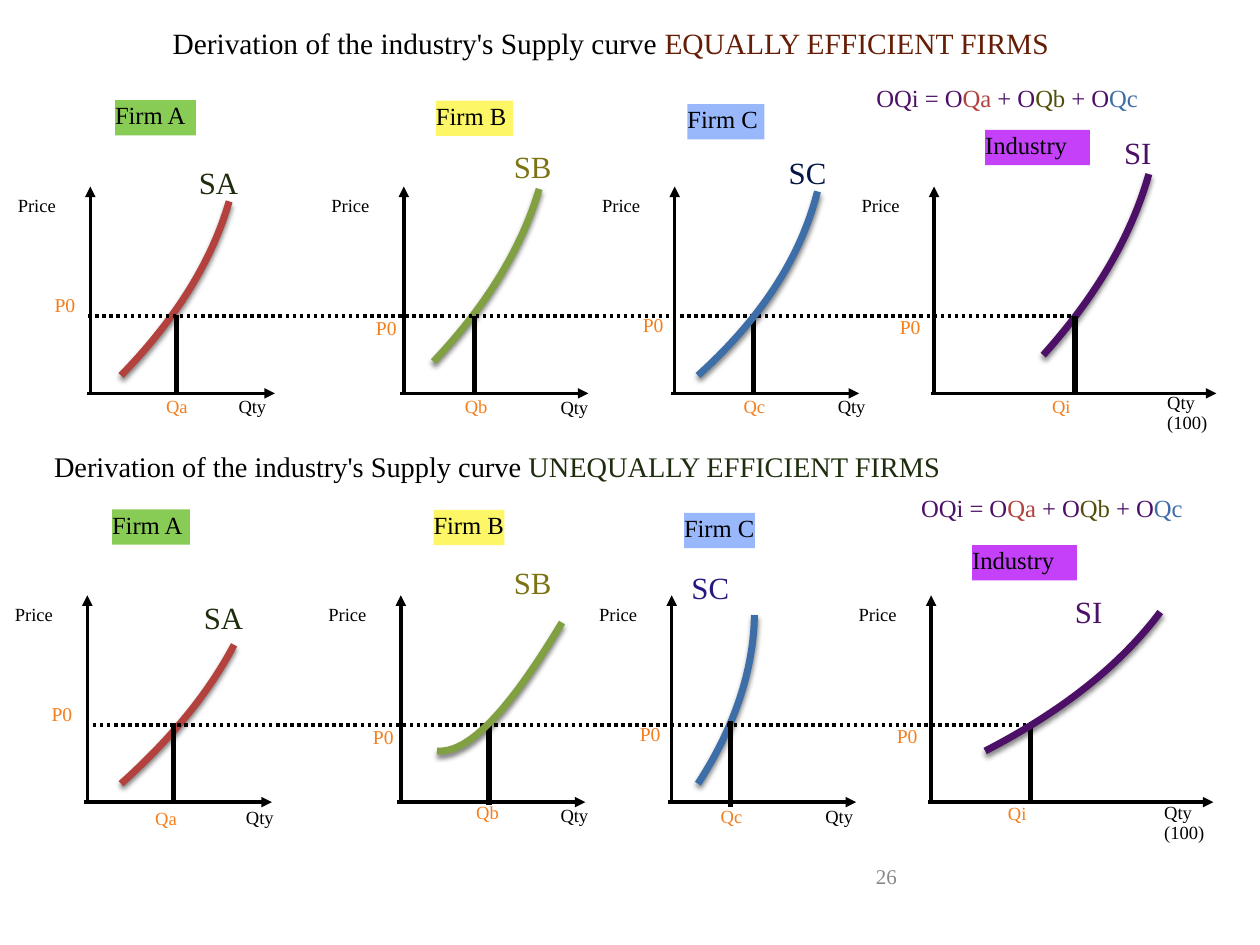
import pptx
import pptx.dml.color
import pptx.enum.dml
import pptx.enum.shapes
import pptx.enum.text
import pptx.oxml
import pptx.util
from lxml import etree

FONT = "Times New Roman"
BLACK, ORANGE, PURPLE = "000000", "F57E1C", "4C1066"
RED, GREEN, BLUE = "B3423F", "81A041", "3E6EA7"
NAMESPACE = "http://schemas.openxmlformats.org/drawingml/2006/main"
TIGHT = 0.9

FORMULA = [("OQi = O", PURPLE), ("Qa", RED), (" + O", PURPLE),
           ("Qb", "534F0A"), (" + O", PURPLE), ("Qc", BLUE)]

COLUMNS = [
    {"name": "Firm A", "fill": "88CB55", "curve": RED, "supply": "SA", "quantity": "Qa",
     "axis": 1.82, "length": 3.72, "price_offset": (-0.72, -0.41), "unit": ["Qty"]},
    {"name": "Firm B", "fill": "FDF666", "curve": GREEN, "supply": "SB", "quantity": "Qb",
     "axis": 8.14, "length": 3.72, "price_offset": (-0.56, 0.06), "unit": ["Qty"]},
    {"name": "Firm C", "fill": "99B8FC", "curve": BLUE, "supply": "SC", "quantity": "Qc",
     "axis": 13.6, "length": 3.72, "price_offset": (-0.64, 0), "unit": ["Qty"]},
    {"name": "Industry", "fill": "C440F9", "curve": PURPLE, "supply": "SI", "quantity": "Qi",
     "axis": 18.83, "length": 5.69, "price_offset": (-0.69, 0.04), "unit": ["Qty", "(100)"]},
]

ROWS = [
    {"title": ("EQUALLY EFFICIENT FIRMS", "661D06"), "title_at": (3.48, 0.51), "title_size": 16.8,
     "formula_at": (17.67, 1.68), "shift": 0, "base": 7.93, "price": 6.37, "dots": (1.78, 21.64),
     "panels": [
         {"label": (2.32, 2.02, 1.63), "unit_at": (4.81, 8.01), "supply_at": (4.01, 3.3),
          "supply_color": "1D2D0D", "spacing": 1, "front": False,
          "curve": [(4.62, 4.06), (4.27, 5.28), (3.53, 6.45), (2.44, 7.57)],
          "drop": (3.56, 7.95, 6.35), "quantity_at": (3.35, 8.02)},
         {"label": (8.79, 2.03, 1.55), "unit_at": (11.3, 8.04), "supply_at": (10.36, 3.07),
          "supply_color": "7A7414", "spacing": TIGHT, "front": False,
          "curve": [(10.87, 3.81), (10.52, 5), (9.8, 6.17), (8.74, 7.29)],
          "drop": (9.57, 7.9, 6.38), "quantity_at": (9.37, 8.01)},
         {"label": (13.86, 2.1, 1.55), "unit_at": (16.89, 8.01), "supply_at": (15.9, 3.1),
          "supply_color": "021543", "spacing": 1, "front": True,
          "curve": [(16.48, 3.86), (16.15, 5.16), (15.37, 6.4), (14.07, 7.57)],
          "drop": (15.19, 7.95, 6.4), "quantity_at": (14.99, 8.01)},
         {"label": (19.86, 2.62, 2.11), "unit_at": (23.53, 7.94), "supply_at": (22.66, 2.79),
          "supply_color": PURPLE, "spacing": TIGHT, "front": False,
          "curve": [(23.16, 3.51), (22.81, 4.75), (22.1, 5.97), (21.03, 7.16)],
          "drop": (21.67, 7.9, 6.38), "quantity_at": (21.21, 8.02)},
     ]},
    {"title": ("UNEQUALLY EFFICIENT FIRMS", "1D2D0D"), "title_at": (1.09, 9.05), "title_size": 16.2,
     "formula_at": (18.57, 9.93), "shift": -0.06, "base": 16.17, "price": 14.61, "dots": (1.73, 20.75),
     "panels": [
         {"label": (2.26, 10.27, 1.57), "unit_at": (4.96, 16.29), "supply_at": (4.11, 12.07),
          "supply_color": "1D2D0D", "spacing": 1, "front": False,
          "curve": [(4.72, 13), (4.19, 14), (3.43, 14.91), (2.44, 15.8)],
          "drop": (3.5, 16.21, 14.58), "quantity_at": (3.13, 16.32)},
         {"label": (8.74, 10.28, 1.43), "unit_at": (11.3, 16.26), "supply_at": (10.36, 11.44),
          "supply_color": "7A7414", "spacing": TIGHT, "front": True,
          "curve": [(11.33, 12.55), (10.26, 14.33), (9.45, 15.19), (8.81, 15.14)],
          "drop": (9.86, 16.23, 14.61), "quantity_at": (9.6, 16.2)},
         {"label": (13.79, 10.34, 1.43), "unit_at": (16.64, 16.28), "supply_at": (13.94, 11.56),
          "supply_color": "2A1680", "spacing": TIGHT, "front": False,
          "curve": [(15.21, 12.4), (15.19, 13.51), (14.81, 14.66), (14.07, 15.8)],
          "drop": (14.73, 16.27, 14.53), "quantity_at": (14.53, 16.28)},
         {"label": (19.6, 10.99, 2.11), "unit_at": (23.47, 16.19), "supply_at": (21.67, 12.04),
          "supply_color": PURPLE, "spacing": TIGHT, "front": True,
          "curve": [(23.39, 12.34), (22.56, 13.44), (21.39, 14.35), (19.86, 15.14)],
          "drop": (20.78, 16.18, 14.68), "quantity_at": (20.32, 16.21)},
     ]},
]

presentation = pptx.Presentation()
presentation.slide_width, presentation.slide_height = pptx.util.Cm(25.4), pptx.util.Cm(19.05)
slide = presentation.slides.add_slide(presentation.slide_layouts[6])


def rgb(value):
    return pptx.dml.color.RGBColor.from_string(value)


def lengths(*values):
    return [pptx.util.Cm(value) for value in values]


def write(shape, paragraphs, size, spacing=1):
    frame = shape.text_frame
    frame.word_wrap = True
    frame.vertical_anchor = pptx.enum.text.MSO_ANCHOR.TOP
    frame.margin_left = frame.margin_right = frame.margin_top = frame.margin_bottom = 0
    for index, runs in enumerate(paragraphs):
        paragraph = frame.add_paragraph() if index else frame.paragraphs[0]
        paragraph.alignment = pptx.enum.text.PP_ALIGN.LEFT
        paragraph.line_spacing = spacing
        paragraph.font.name = FONT
        paragraph.font.size = pptx.util.Pt(size)
        if len(runs) == 1:
            paragraph.font.color.rgb = rgb(runs[0][1])
        for text, color in runs:
            run = paragraph.add_run()
            run.text = text
            if len(runs) > 1:
                run.font.color.rgb = rgb(color)


def add_text(position, extent, paragraphs, size, spacing=TIGHT):
    box = slide.shapes.add_textbox(*lengths(*position, *extent))
    write(box, paragraphs, size, spacing)
    return box


def add_line(start, end, width, arrow=False, dotted=False):
    connector = slide.shapes.add_connector(
        pptx.enum.shapes.MSO_CONNECTOR.STRAIGHT, *lengths(*start, *end))
    connector.line.color.rgb = rgb(BLACK)
    connector.line.width = pptx.util.Pt(width)
    if dotted:
        connector.line.dash_style = pptx.enum.dml.MSO_LINE.ROUND_DOT
    if arrow:
        etree.SubElement(connector.line._get_or_add_ln(), f"{{{NAMESPACE}}}tailEnd", type="triangle")
    etree.SubElement(connector._element.spPr, f"{{{NAMESPACE}}}effectLst")


def add_curve(controls, color):
    points = [lengths(*point) for point in controls]
    builder = slide.shapes.build_freeform(*points[0])
    builder.add_line_segments(points[-1:], close=False)
    curve = builder.convert_to_shape()
    segment = next(curve._element.iter(f"{{{NAMESPACE}}}lnTo"))
    segment.tag = f"{{{NAMESPACE}}}cubicBezTo"
    segment.clear()
    for x, y in points[1:]:
        etree.SubElement(segment, f"{{{NAMESPACE}}}pt", x=str(x - curve.left), y=str(y - curve.top))
    curve.fill.background()
    curve.line.color.rgb = rgb(color)
    curve.line.width = pptx.util.Pt(4)
    curve._element.spPr.append(pptx.oxml.parse_xml(
        f'<a:effectLst xmlns:a="{NAMESPACE}"><a:outerShdw blurRad="38100" dist="25400" dir="5400000" '
        'rotWithShape="0"><a:srgbClr val="000000"><a:alpha val="50000"/></a:srgbClr>'
        '</a:outerShdw></a:effectLst>'))


def add_panel(row, column, panel):
    axis, base = column["axis"] + row["shift"], row["base"]
    add_line((axis, base - 0.03), (axis, base - 4.17), 2, arrow=True)
    add_line((axis - 0.07, base), (axis + column["length"], base), 2, arrow=True)
    add_text((axis - 1.46, base - 3.96), (1.46, 0.46), [[("Price", BLACK)]], 10.6)
    add_text(panel["unit_at"], (1.65, 0.46 * len(column["unit"])),
             [[(line, BLACK)] for line in column["unit"]], 10.6)
    add_text(panel["supply_at"], (2, 0.74), [[(column["supply"], panel["supply_color"])]],
             17.6, panel["spacing"])
    dx, dy = column["price_offset"]
    add_text((axis + dx, row["price"] + dy), (0.51, 0.48), [[("P0", ORANGE)]], 11.2)
    add_text(panel["quantity_at"], (0.84, 0.46), [[(column["quantity"], ORANGE)]], 10.6)
    left, top, width = panel["label"]
    label = slide.shapes.add_shape(
        pptx.enum.shapes.MSO_SHAPE.RECTANGLE, *lengths(left, top, width, 0.71))
    label.shadow.inherit = False
    label.fill.solid()
    label.fill.fore_color.rgb = rgb(column["fill"])
    label.line.fill.background()
    write(label, [[(column["name"], BLACK)]], 14.1)


def add_curves(pairs, front):
    for column, panel in pairs:
        if panel["front"] == front:
            add_curve(panel["curve"], column["curve"])


for row in ROWS:
    add_text(row["title_at"], (19.81, 0.71),
             [[("Derivation of the industry's Supply curve ", BLACK), row["title"]]],
             row["title_size"], 1)
    add_text(row["formula_at"], (6.8, 0.86), [FORMULA], 14.1, 1)
    pairs = list(zip(COLUMNS, row["panels"]))
    for column, panel in pairs:
        add_panel(row, column, panel)
    add_curves(pairs, front=False)
    add_line((row["dots"][0], row["price"]), (row["dots"][1], row["price"]), 2, dotted=True)
    for column, panel in pairs:
        x, bottom, top = panel["drop"]
        add_line((x, bottom), (x, top), 3)
    add_curves(pairs, front=True)

page_number = add_text((17.52, 17.28), (0.69, 0.76), [[("26", "888888")]], 12, 1)
page_number.text_frame.vertical_anchor = pptx.enum.text.MSO_ANCHOR.MIDDLE
page_number.text_frame.margin_right = pptx.util.Cm(0.13)
page_number.text_frame.paragraphs[0].alignment = pptx.enum.text.PP_ALIGN.RIGHT

presentation.save("out.pptx")
